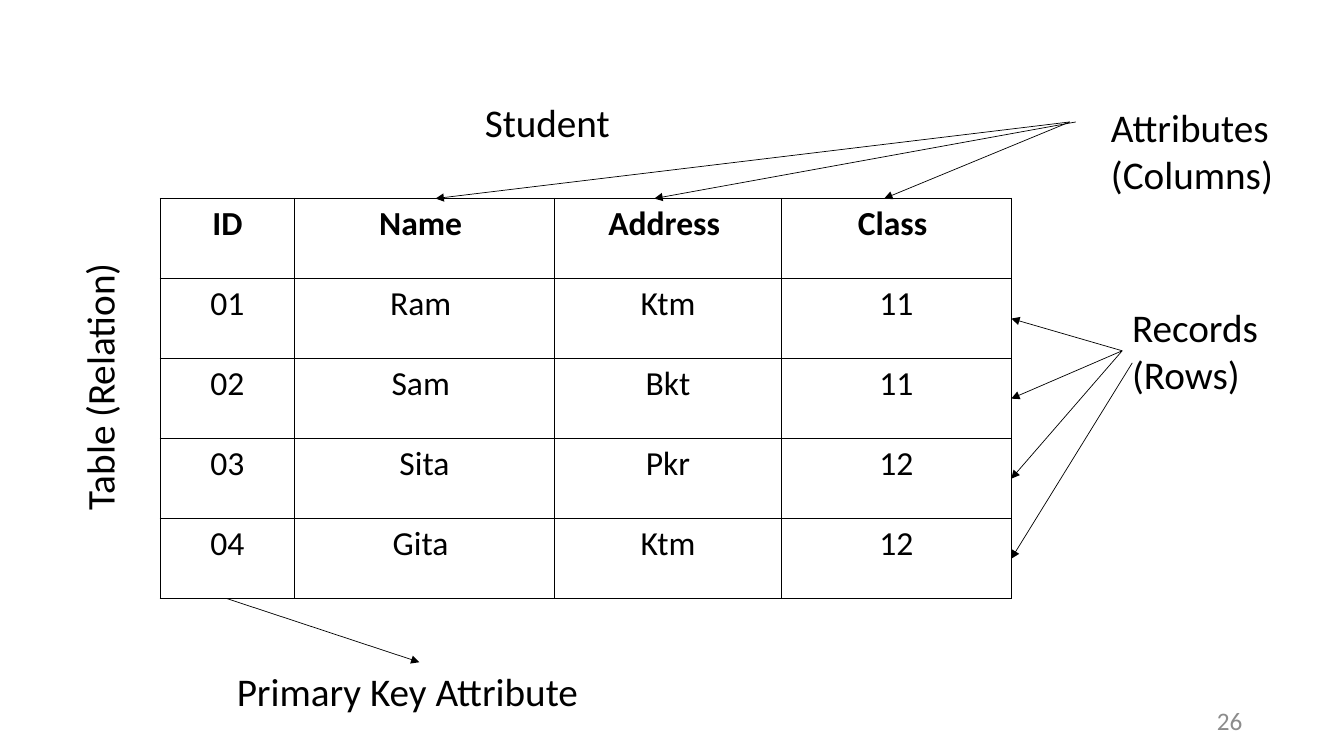
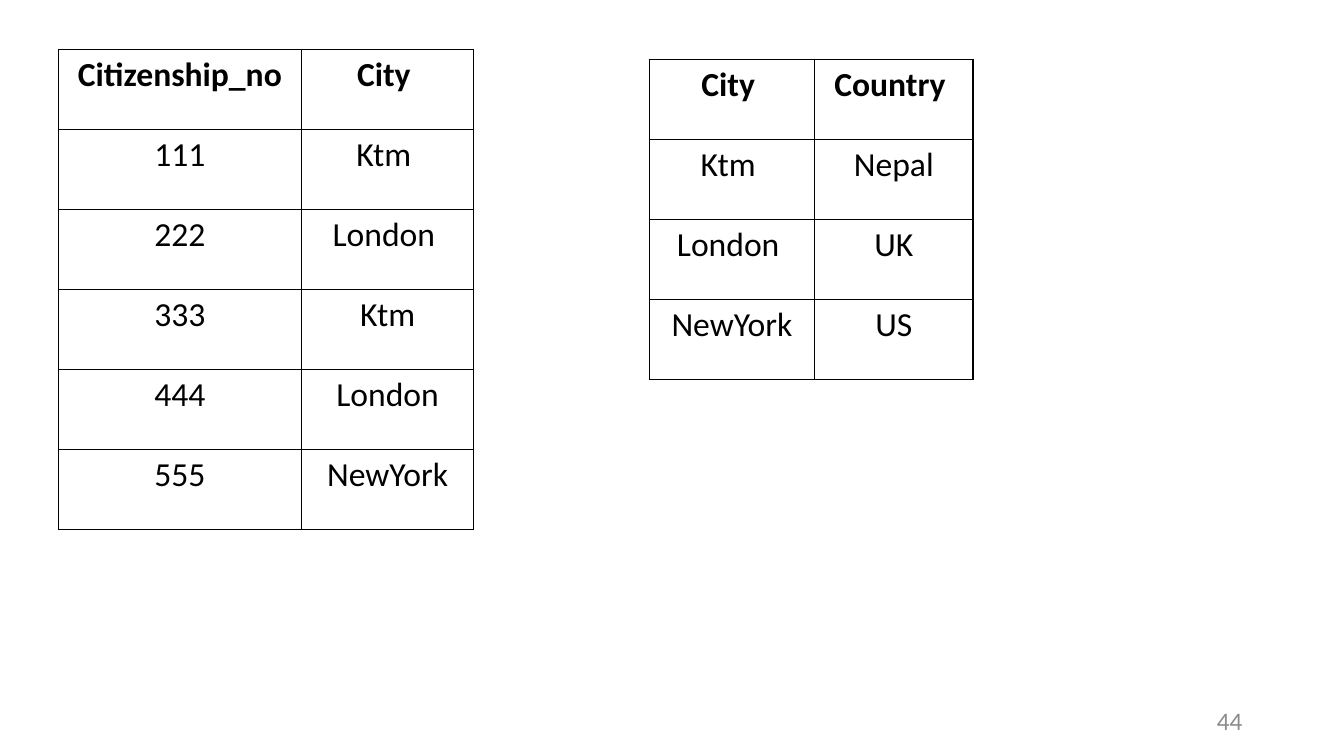
from lxml.etree import SubElement
from pptx import Presentation
from pptx.dml.color import RGBColor
from pptx.enum.shapes import MSO_CONNECTOR as Connector
from pptx.enum.text import MSO_ANCHOR as Anchor, MSO_AUTO_SIZE as AutoSize, PP_ALIGN as Align
from pptx.oxml.ns import qn
from pptx.util import Inches, Pt

# Shared look
BLACK = RGBColor(0, 0, 0)
WHITE = RGBColor(0xFF, 0xFF, 0xFF)
GREY = RGBColor(0x8C, 0x8C, 0x8C)
FONT = "Calibri"
CELL_FORMAT = {"name": FONT, "size": Pt(24)}
LABEL_FORMAT = {"name": FONT, "size": Pt(28)}
NUMBER_FORMAT = {"name": FONT, "size": Pt(18)}
ROW_HEIGHT = 3.97 / 5
BORDER_WIDTH = Pt(1)
ARROW_WIDTH = Pt(0.5)

# Student relation: grid and contents
STUDENT_LEFT, STUDENT_TOP = 1.59, 1.97
STUDENT_COLUMNS = [1.33, 2.58, 2.25, 2.28]
STUDENT_ROWS = [
    ["ID", "Name ", "Address ", "Class "],
    ["01", "Ram ", "Ktm", "11"],
    ["02", "Sam ", "Bkt", "11"],
    ["03", "Sita", "Pkr", "12"],
    ["04", "Gita ", "Ktm", "12"],
]
CITIZEN_ROWS = [
    ["Citizenship_no", "City "],
    ["111", "Ktm "],
    ["222", "London "],
    ["333", "Ktm"],
    ["444", "London"],
    ["555", "NewYork"],
]
COUNTRY_ROWS = [
    ["City ", "Country "],
    ["Ktm ", "Nepal"],
    ["London ", "UK"],
    ["NewYork", "US"],
]


def style(font, formats, color=BLACK):
    for attribute, value in formats.items():
        setattr(font, attribute, value)
    font.color.rgb = color


def add_text(slide, box, lines, formats=LABEL_FORMAT, color=BLACK, align=Align.LEFT):
    holder = slide.shapes.add_textbox(*map(Inches, box))
    frame = holder.text_frame
    frame.word_wrap = True
    frame.text = "\n".join(lines)
    for paragraph in frame.paragraphs:
        paragraph.alignment = align
        style(paragraph.runs[0].font, formats, color)
    return holder


def add_label(slide, box, *lines, rotation=0):
    label = add_text(slide, box, lines)
    label.text_frame.auto_size = AutoSize.SHAPE_TO_FIT_TEXT
    label.rotation = rotation


def add_page_number(slide, number):
    footer = add_text(slide, (9.42, 6.95, 3, 0.4), [str(number)],
                      NUMBER_FORMAT, GREY, Align.RIGHT)
    footer.text_frame.vertical_anchor = Anchor.MIDDLE


def add_borders(cell):
    properties = cell._tc.get_or_add_tcPr()
    for position, side in enumerate(("lnL", "lnR", "lnT", "lnB")):
        border = SubElement(properties, qn(f"a:{side}"), w=str(BORDER_WIDTH))
        ink = SubElement(border, qn("a:solidFill"))
        SubElement(ink, qn("a:srgbClr"), val=str(BLACK))
        properties.insert(position, border)


def add_relation(slide, left, top, widths, rows):
    frame = slide.shapes.add_table(
        len(rows), len(widths), Inches(left), Inches(top),
        Inches(sum(widths)), Inches(ROW_HEIGHT * len(rows)))
    relation = frame.table
    relation.horz_banding = False
    for column, width in zip(relation.columns, widths):
        column.width = Inches(width)
    for row_index, values in enumerate(rows):
        relation.rows[row_index].height = Inches(ROW_HEIGHT)
        for column_index, value in enumerate(values):
            cell = relation.cell(row_index, column_index)
            cell.text = value
            cell.fill.solid()
            cell.fill.fore_color.rgb = WHITE
            paragraph = cell.text_frame.paragraphs[0]
            paragraph.alignment = Align.CENTER
            style(paragraph.runs[0].font, CELL_FORMAT | {"bold": row_index == 0})
            add_borders(cell)


def add_arrow(slide, start, end):
    arrow = slide.shapes.add_connector(Connector.STRAIGHT, *map(Inches, (*start, *end)))
    arrow.line.color.rgb = BLACK
    arrow.line.width = ARROW_WIDTH
    SubElement(arrow.line._get_or_add_ln(), qn("a:tailEnd"), type="triangle")
    SubElement(arrow._element.spPr, qn("a:effectLst"))


def build_student(slide):
    add_page_number(slide, 26)
    add_relation(slide, STUDENT_LEFT, STUDENT_TOP, STUDENT_COLUMNS, STUDENT_ROWS)

    # Labels around the table
    add_label(slide, (4.71, 0.93, 1.54, 0.57), "Student")
    add_label(slide, (-0.43, 3.46, 2.83, 0.57), "Table (Relation)", rotation=270)
    add_label(slide, (10.92, 0.98, 2.1, 1.04), "Attributes", "(Columns)")
    add_label(slide, (11.13, 2.96, 2.1, 1.04), "Records", "(Rows)")
    add_label(slide, (2.25, 6.57, 3.82, 0.57), "Primary Key Attribute")

    # Attributes point to the column heads
    for start_x, head_x in ((10.61, 4.32), (10.67, 6.49), (10.61, 8.77)):
        add_arrow(slide, (start_x, 1.21), (head_x, STUDENT_TOP))

    # Records point to the middle of each data row
    right_edge = STUDENT_LEFT + sum(STUDENT_COLUMNS)
    record_starts = [(11.13, 3.48)] * 3 + [(11.23, 3.6)]
    for row, start in enumerate(record_starts, 1):
        add_arrow(slide, start, (right_edge, STUDENT_TOP + (row + 0.5) * ROW_HEIGHT))

    # The ID column leads to its key label
    id_middle = STUDENT_LEFT + STUDENT_COLUMNS[0] / 2
    bottom_edge = STUDENT_TOP + len(STUDENT_ROWS) * ROW_HEIGHT
    add_arrow(slide, (id_middle, bottom_edge), (4.16, 6.57))


def build_cities(slide):
    add_page_number(slide, 44)
    add_relation(slide, 0.58, 0.49, [2.41, 1.71], CITIZEN_ROWS)
    add_relation(slide, 6.44, 0.59, [1.64, 1.57], COUNTRY_ROWS)


def main():
    deck = Presentation()
    deck.slide_width, deck.slide_height = Inches(13.33), Inches(7.5)
    blank = deck.slide_layouts[6]
    for build in (build_student, build_cities):
        build(deck.slides.add_slide(blank))
    deck.save("out.pptx")


if __name__ == "__main__":
    main()
